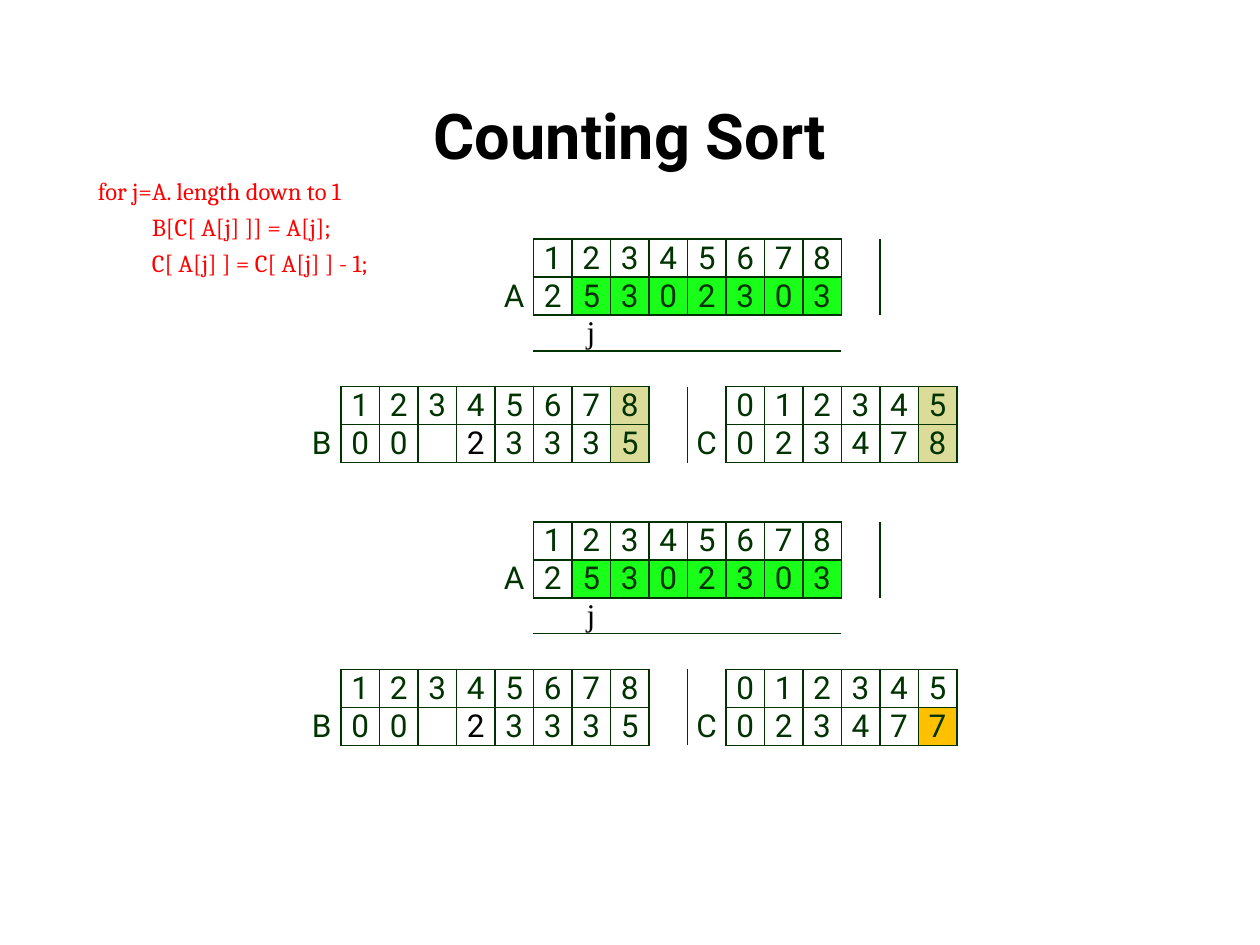
import pptx
import pptx.dml.color
import pptx.enum.text
import pptx.oxml
import pptx.oxml.ns
import pptx.util

Pt = pptx.util.Pt
CENTER = pptx.enum.text.PP_ALIGN.CENTER

GREEN, KHAKI, AMBER = "1AFF1A", "DCDC9A", "FFC000"
INK, BLACK, RED = "003300", "000000", "FF0000"
ROW_HEIGHTS = [21.7, 21.7, 20.5, 20.5, 21.7, 21.7]
COLUMNS, COLUMN_WIDTH = 17, 22

# Arrays: name, top row, first column, indices, values
ARRAYS = [
    ("A", 0, 6, "12345678", "25302303"),
    ("B", 4, 1, "12345678", "00 23335"),
    ("C", 4, 11, "012345", "023477"),
]
POINTER = (2, 7)
PLACED = (5, 4)


def color(hex_string):
    return pptx.dml.color.RGBColor.from_string(hex_string)


def grid_lines():
    """Return the vertical and horizontal unit edges that carry a line."""
    vertical, horizontal = set(), set()
    for _, top, first, indices, _ in ARRAYS:
        last = first + len(indices)
        vertical |= {(row, col) for row in (top, top + 1) for col in range(first, last + 1)}
        horizontal |= {(row, col) for row in range(top, top + 3) for col in range(first, last)}
    # Separate rules beside A and B, and below the pointer row
    vertical |= {(0, 15), (1, 15), (4, 10), (5, 10)}
    horizontal |= {(3, col) for col in range(6, 14)}
    return vertical, horizontal


class SlideWriter:
    font = "Roboto"
    size = 18

    def __init__(self, page):
        self.page = page

    def format(self, para, size, font, ink, bold=False):
        para.font.size = Pt(size)
        para.font.name = font
        para.font.bold = bold
        para.font.color.rgb = color(ink)

    def title(self, text, left, top, width, height):
        box = self.page.shapes.title
        box.left, box.top, box.width, box.height = map(Pt, (left, top, width, height))
        frame = box.text_frame
        frame.text = text
        frame.vertical_anchor = pptx.enum.text.MSO_ANCHOR.MIDDLE
        para = frame.paragraphs[0]
        para.alignment = CENTER
        self.format(para, 36, self.font, BLACK, bold=True)

    def code(self, lines, left, top, width, height):
        box = self.page.shapes.add_textbox(*map(Pt, (left, top, width, height)))
        frame = box.text_frame
        frame.word_wrap = True
        for number, (indent, text) in enumerate(lines):
            para = frame.add_paragraph() if number else frame.paragraphs[0]
            para.text = text
            para.line_spacing = 1.21
            para.space_before = Pt(0.1)
            para._p.get_or_add_pPr().set("marL", str(Pt(indent)))
            self.format(para, 14, "Cambria", RED)

    def border(self, cell, sides):
        properties = cell._tc.get_or_add_tcPr()
        namespace = pptx.oxml.ns.nsdecls("a")
        for position, (side, shown) in enumerate(sides.items()):
            paint = f'<a:solidFill><a:srgbClr val="{INK}"/></a:solidFill>' if shown else "<a:noFill/>"
            line = pptx.oxml.parse_xml(f'<a:ln{side} {namespace} w="{Pt(1)}">{paint}</a:ln{side}>')
            properties.insert(position, line)

    def arrays(self, left, top, texts, fills):
        rows = len(ROW_HEIGHTS)
        frame = self.page.shapes.add_table(
            rows, COLUMNS, Pt(left), Pt(top),
            Pt(COLUMNS * COLUMN_WIDTH), Pt(sum(ROW_HEIGHTS)))
        table = frame.table
        table.first_row = table.horz_banding = False
        for column in table.columns:
            column.width = Pt(COLUMN_WIDTH)
        for row, height in zip(table.rows, ROW_HEIGHTS):
            row.height = Pt(height)
        vertical, horizontal = grid_lines()
        for row in range(rows):
            for col in range(COLUMNS):
                cell, spot = table.cell(row, col), (row, col)
                cell.margin_left = cell.margin_right = cell.margin_top = Pt(0.5)
                cell.margin_bottom = 0
                text = texts.get(spot, "")
                cell.text = text
                para = cell.text_frame.paragraphs[0]
                para.alignment = CENTER
                self.format(para, self.size if text else 10,
                            "Times New Roman" if spot == POINTER else self.font,
                            BLACK if spot in (POINTER, PLACED) else INK)
                if spot in fills:
                    cell.fill.solid()
                    cell.fill.fore_color.rgb = color(fills[spot])
                else:
                    cell.fill.background()
                self.border(cell, {
                    "L": (row, col) in vertical,
                    "R": (row, col + 1) in vertical,
                    "T": (row, col) in horizontal,
                    "B": (row + 1, col) in horizontal,
                })


def main():
    deck = pptx.Presentation()
    deck.slide_width, deck.slide_height = Pt(720), Pt(540)
    writer = SlideWriter(deck.slides.add_slide(deck.slide_layouts[5]))
    writer.title("Counting Sort", 36, 32, 648, 90)

    # Array contents after the decrement
    after = {POINTER: "j"}
    for name, top, first, indices, values in ARRAYS:
        after[top + 1, first - 1] = name
        for offset, (index, value) in enumerate(zip(indices, values)):
            after[top, first + offset] = index
            after[top + 1, first + offset] = value.strip()
    before = {**after, (5, 16): "8"}

    # Highlights: processed part of A, then the cells in use
    processed = {(1, col): GREEN for col in range(7, 14)}
    in_use = {(row, col): KHAKI for row in (4, 5) for col in (8, 16)}

    # The two states of the step
    writer.arrays(172.8, 136.6, before, {**processed, **in_use})
    writer.arrays(172.8, 298.2, after, {**processed, (5, 16): AMBER})

    # Pseudocode
    writer.code([
        (0.7, "for j=A. length down to 1"),
        (31.5, "B[C[ A[j] ]] = A[j];"),
        (31.5, "C[ A[j] ] = C[ A[j] ] - 1;"),
    ], 48.2, 93.6, 607, 67)

    deck.save("out.pptx")


if __name__ == "__main__":
    main()
